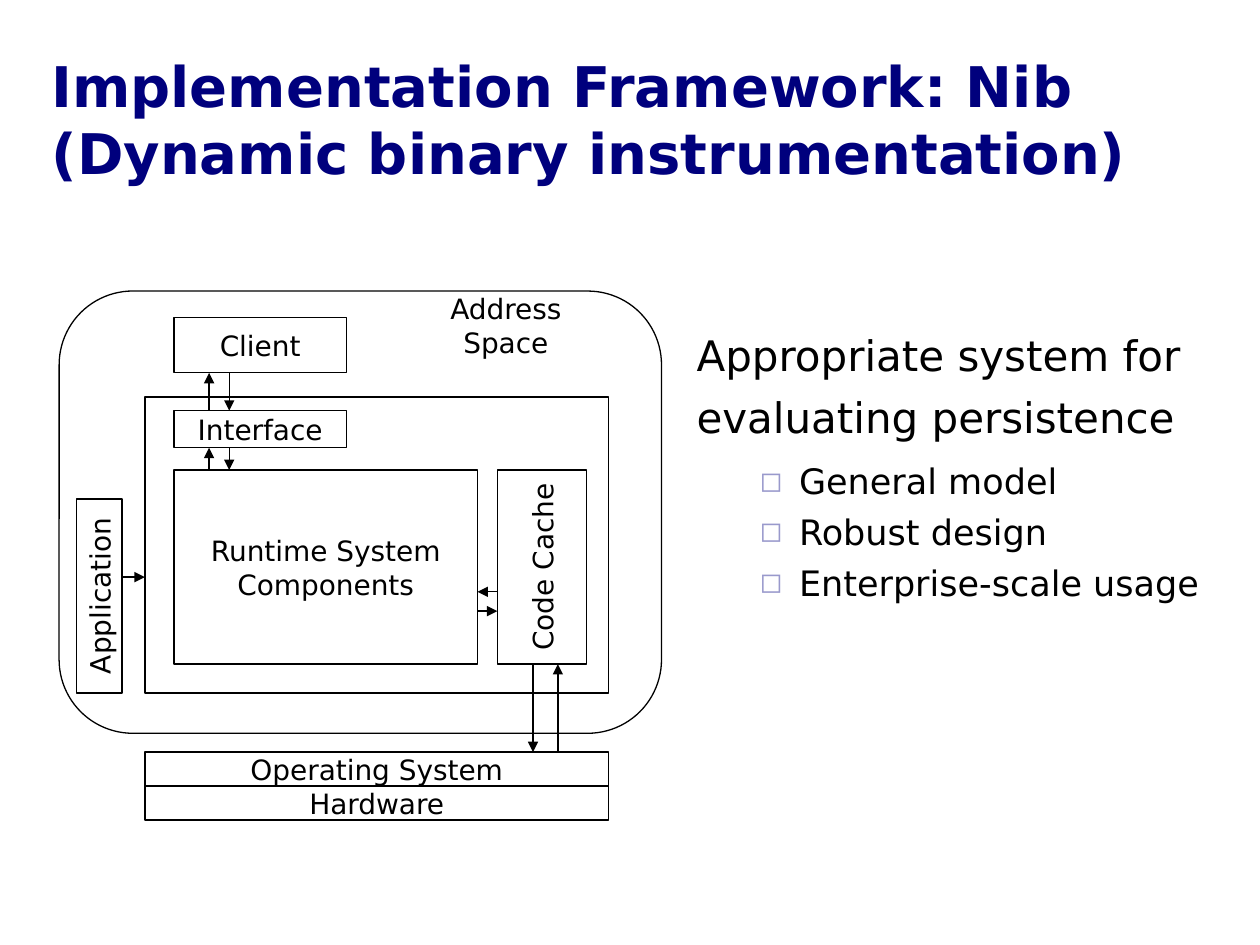
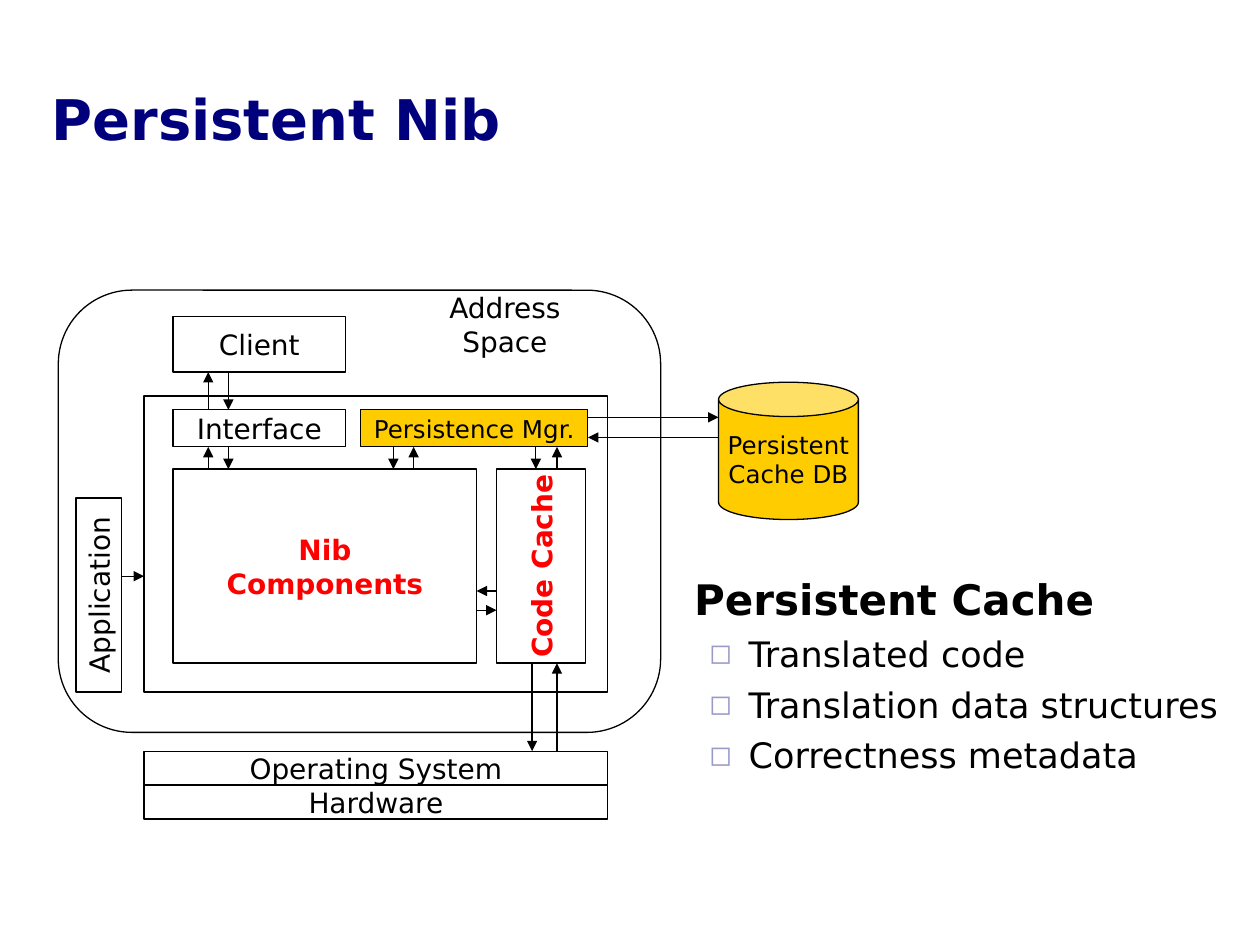
from dataclasses import dataclass

from lxml.etree import SubElement
from pptx import Presentation
from pptx.dml.color import RGBColor
from pptx.enum.shapes import MSO_CONNECTOR, MSO_SHAPE
from pptx.enum.text import MSO_ANCHOR, PP_ALIGN
from pptx.oxml.ns import qn
from pptx.util import Pt


@dataclass(frozen=True)
class Theme:
    font: str = "DejaVu Sans"
    navy: str = "00007D"
    black: str = "000000"
    red: str = "FF0000"
    gold: str = "FFCC00"
    bullet: str = "9999CC"
    title_size: int = 32
    heading_size: int = 24
    item_size: int = 20
    label_size: int = 16
    small_size: int = 14
    line_width: float = 0.75


theme = Theme()


def write(para, text, size, color, bold=False, **layout):
    para.text = text
    for name, value in layout.items():
        setattr(para, name, value)
    for name, value in dict(name=theme.font, size=Pt(size), bold=bold).items():
        setattr(para.font, name, value)
    para.font.color.rgb = RGBColor.from_string(color)


def add_frame(page, bounds, **layout):
    box = page.shapes.add_textbox(*map(Pt, bounds))
    for name, value in dict(word_wrap=True, **layout).items():
        setattr(box.text_frame, name, value)
    return box.text_frame


rect, rounded, can = MSO_SHAPE.RECTANGLE, MSO_SHAPE.ROUNDED_RECTANGLE, MSO_SHAPE.CAN
plain = dict(size=theme.label_size, color=theme.black)
strong = dict(size=theme.label_size, color=theme.red, bold=True)
small = dict(size=theme.small_size, color=theme.black)

shared_boxes = [
    (rounded, (33.8, 166.3, 344.2, 252.7), [], plain, {}),
    (rect, (82.8, 226.8, 265, 169.2), [], plain, {}),
    (rect, (82.8, 429.8, 265, 19.4), ["Operating System"], plain, {}),
    (rect, (82.8, 449.2, 265, 19.4), ["Hardware"], plain, {}),
    (rect, (43.9, 285.1, 25.9, 110.9), ["Application"], plain, {"upright": True}),
    (rect, (99.4, 181.4, 98.6, 31.7), ["Client"], plain, {}),
    (rect, (99.4, 234.7, 98.6, 21.2), ["Interface"], plain, {}),
]
shared_arrows = [
    (119.5, 234.7, 119.5, 213.1),
    (131, 213.1, 131, 234.7),
    (119.5, 268.6, 119.5, 255.9),
    (131, 255.9, 131, 268.6),
    (272.9, 349.2, 284.2, 349.2),
    (284.2, 338.2, 272.9, 338.2),
    (304.6, 379.5, 304.6, 429.8),
    (318.8, 429.8, 318.8, 379.5),
    (69.8, 329.8, 82.8, 329.8),
]
persistence_boxes = [
    (rect, (206.6, 234.7, 129.8, 21.2), ["Persistence Mgr."], small, {"fill": theme.gold}),
    (can, (411.1, 218.9, 79.9, 78.5), ["Persistent", "Cache DB"], small, {"fill": theme.gold}),
]
persistence_arrows = [
    (336.5, 239, 411.1, 239),
    (411.1, 250.5, 336.5, 250.5),
    (225.3, 255.9, 225.3, 268.6),
    (236.9, 268.6, 236.9, 255.9),
    (306.7, 255.9, 306.7, 268.6),
    (318.8, 268.6, 318.8, 255.9),
]

slides = [
    dict(
        title="Implementation Framework: Nib\v(Dynamic binary instrumentation)",
        shift=0,
        components=["Runtime System", "Components"],
        core_style=plain,
        boxes=[],
        arrows=[],
        body=(391, 185, 333.4, 195.1),
        headings=["Appropriate system for", "evaluating persistence"],
        heading_style=dict(bold=False),
        heading_indent=0,
        first_item_gap=10,
        items=["General model", "Robust design", "Enterprise-scale usage"],
    ),
    dict(
        title="Persistent Nib",
        shift=-0.5,
        components=["Nib", "Components"],
        core_style=strong,
        boxes=persistence_boxes,
        arrows=persistence_arrows,
        body=(362.2, 324, 357.8, 144.7),
        headings=["Persistent Cache"],
        heading_style=dict(bold=True),
        heading_indent=27.4,
        first_item_gap=5,
        items=["Translated code", "Translation data structures", "Correctness metadata"],
    ),
]

deck = Presentation()
deck.slide_width, deck.slide_height = Pt(720), Pt(540)

for content in slides:
    page = deck.slides.add_slide(deck.slide_layouts[6])
    shift = content["shift"]

    frame = add_frame(page, (22.3, 24.5, 697.7, 86.4), vertical_anchor=MSO_ANCHOR.MIDDLE)
    write(frame.paragraphs[0], content["title"], theme.title_size, theme.navy, bold=True)

    frame = add_frame(page, (227.5 + shift, 163.2 + shift, 123.1, 26.6))
    write(frame.paragraphs[0], "Address Space", alignment=PP_ALIGN.CENTER, **plain)

    core_boxes = [
        (rect, (99.4, 268.6, 173.5, 110.9), content["components"], content["core_style"], {}),
        (rect, (284.2, 268.6, 51.1, 110.9), ["Code Cache"], content["core_style"], {"upright": True}),
    ]
    for kind, (left, top, width, height), lines, style, extra in shared_boxes + core_boxes + content["boxes"]:
        box = page.shapes.add_shape(kind, Pt(left + shift), Pt(top + shift), Pt(width), Pt(height))
        box.shadow.inherit = False
        box.line.color.rgb = RGBColor.from_string(theme.black)
        box.line.width = Pt(theme.line_width)
        if "fill" in extra:
            box.fill.solid()
            box.fill.fore_color.rgb = RGBColor.from_string(extra["fill"])
        else:
            box.fill.background()
        frame = box.text_frame
        frame.word_wrap = False
        frame.vertical_anchor = MSO_ANCHOR.MIDDLE
        if "upright" in extra:
            frame._txBody.bodyPr.set("vert", "vert270")
        for index, line in enumerate(lines):
            para = frame.add_paragraph() if index else frame.paragraphs[0]
            write(para, line, alignment=PP_ALIGN.CENTER, **style)

    for ends in shared_arrows + content["arrows"]:
        arrow = page.shapes.add_connector(MSO_CONNECTOR.STRAIGHT, *(Pt(end + shift) for end in ends))
        arrow.line.color.rgb = RGBColor.from_string(theme.black)
        arrow.line.width = Pt(theme.line_width)
        SubElement(arrow.line._get_or_add_ln(), qn("a:tailEnd"), type="triangle")
        SubElement(arrow._element.spPr, qn("a:effectLst"))

    frame = add_frame(page, content["body"])
    for index, heading in enumerate(content["headings"]):
        para = frame.add_paragraph() if index else frame.paragraphs[0]
        para._p.get_or_add_pPr().set("marL", str(Pt(content["heading_indent"])))
        write(para, heading, theme.heading_size, theme.black,
              space_before=Pt(6.5 if index else 0), **content["heading_style"])
    for index, item in enumerate(content["items"]):
        para = frame.add_paragraph()
        props = para._p.get_or_add_pPr()
        props.set("marL", str(Pt(58.5)))
        props.set("indent", str(Pt(-22.5)))
        tint = SubElement(props, qn("a:buClr"))
        SubElement(tint, qn("a:srgbClr"), val=theme.bullet)
        SubElement(props, qn("a:buSzPct"), val="80000")
        SubElement(props, qn("a:buFont"), typeface=theme.font)
        SubElement(props, qn("a:buChar"), char="◻")
        write(para, item, theme.item_size, theme.black,
              space_before=Pt(5 if index else content["first_item_gap"]))

deck.save("out.pptx")
